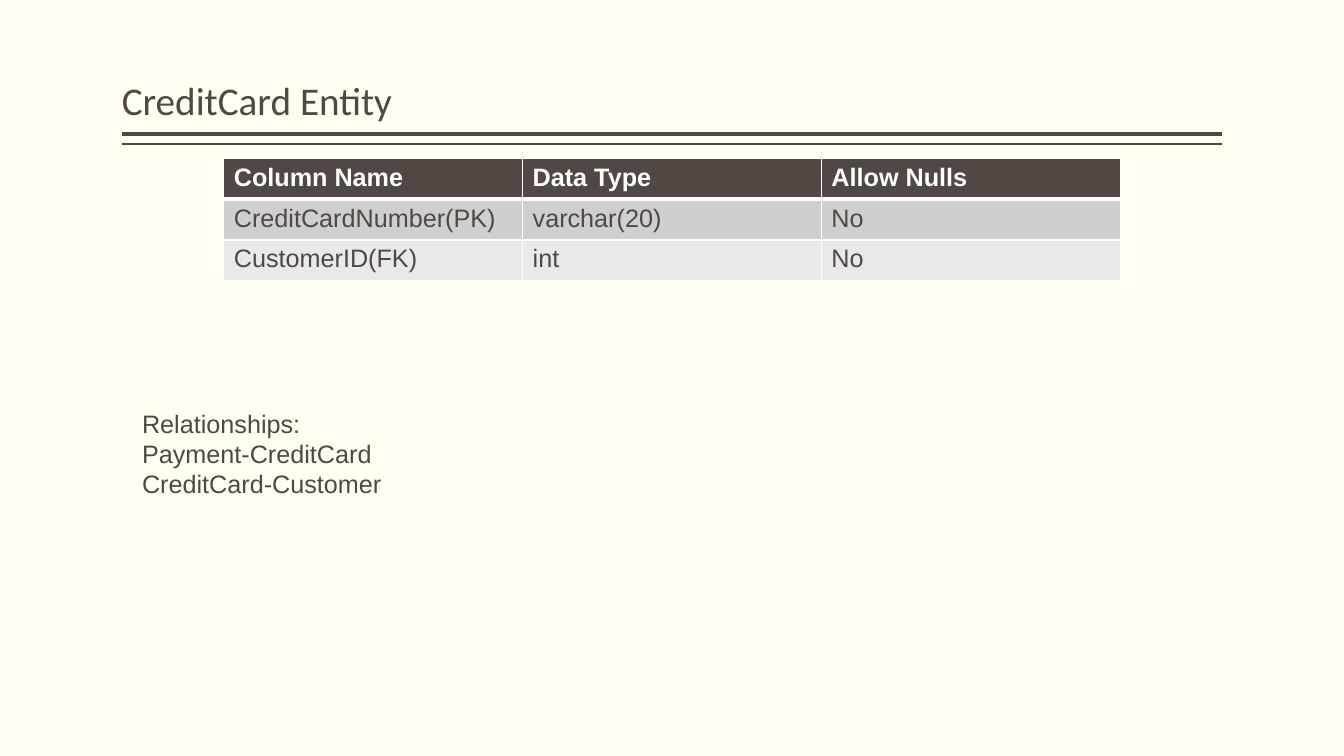
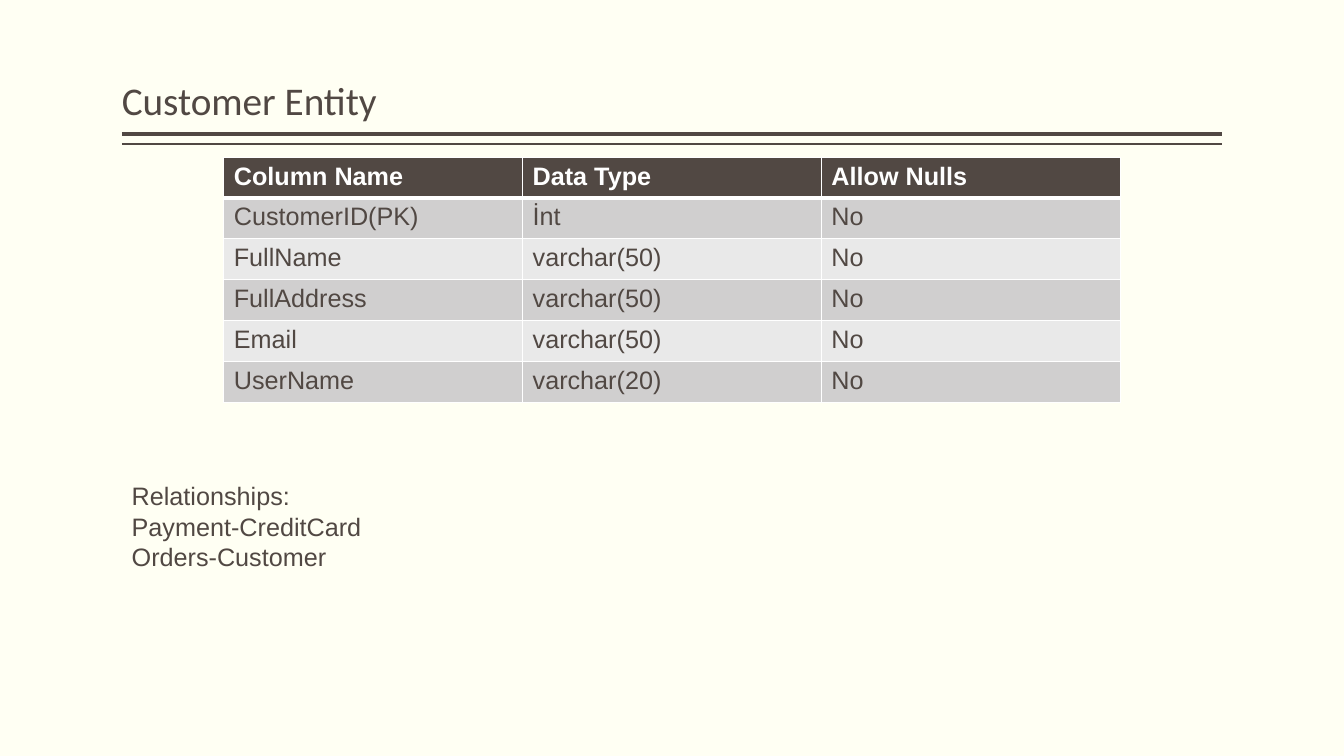
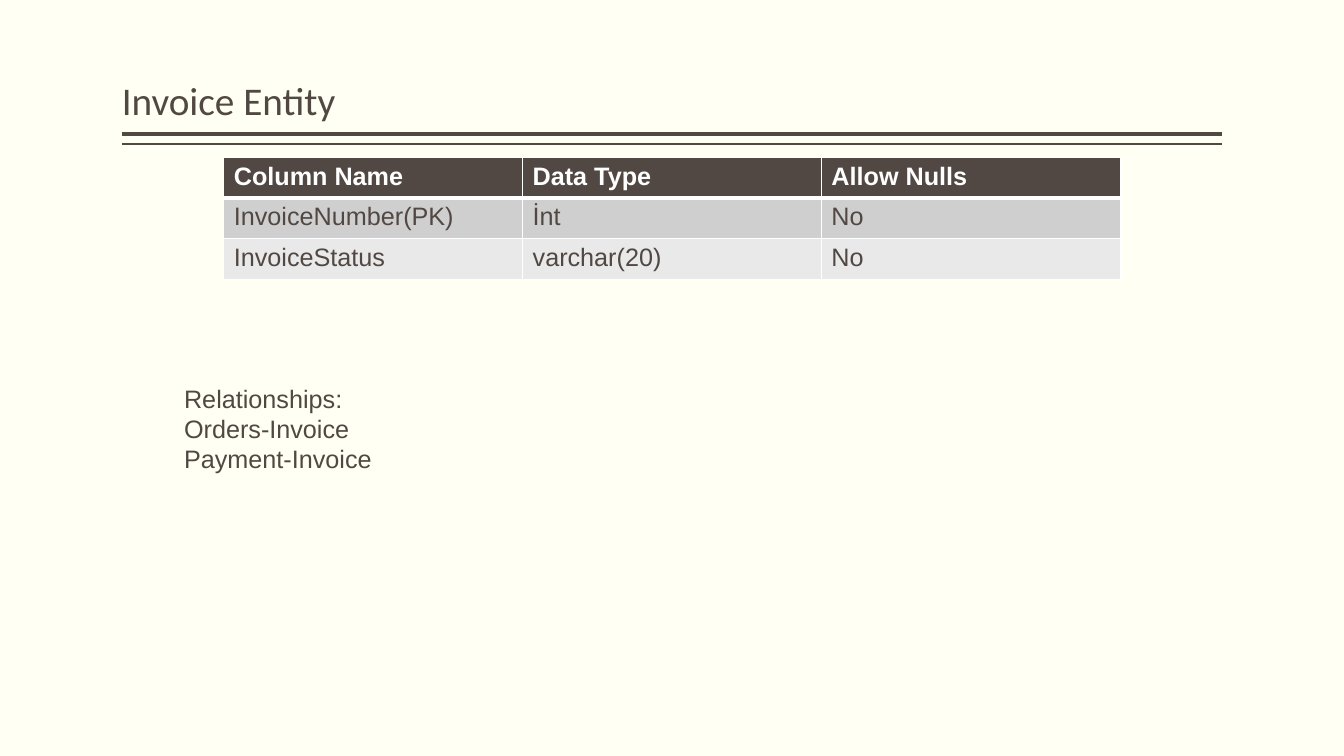
from dataclasses import dataclass
from typing import Any

from lxml.etree import SubElement
from pptx import Presentation
from pptx.dml.color import RGBColor
from pptx.enum.shapes import MSO_CONNECTOR
from pptx.enum.text import MSO_ANCHOR, MSO_AUTO_SIZE
from pptx.oxml import parse_xml
from pptx.oxml.ns import nsdecls, qn
from pptx.slide import Slide
from pptx.table import _Cell
from pptx.util import Cm, Length, Pt

COLORS = {
    "background": "FFFFF3",
    "ink": "514843",
    "white": "FFFFFF",
    "odd_row": "D0CFCF",
    "even_row": "E9E9E9",
}
MARGIN_LEFT, CONTENT_WIDTH = Cm(3.07), Cm(27.73)
TITLE_TOP, TITLE_HEIGHT = Cm(0.2), Cm(3.05)
TITLE_RULES = ((Cm(3.38), Pt(3)), (Cm(3.63), Pt(1)))
TABLE_LEFT, COLUMN_WIDTH, ROW_HEIGHT = Cm(5.64), Cm(7.53), Cm(1.03)
NOTE_WIDTH, NOTE_HEIGHT = Cm(25.78), Cm(2.57)
HEADER = ("Column Name", "Data Type", "Allow Nulls")

TITLE_FONT = {"name": "Calibri", "size": Pt(28)}
BODY_FONT = {"name": "Arial", "size": Pt(18), "bold": False}
HEADER_FONT = {**BODY_FONT, "bold": True}
TITLE_FRAME = {
    "word_wrap": True,
    "vertical_anchor": MSO_ANCHOR.BOTTOM,
    "margin_left": 0,
    "margin_right": 0,
}
NOTE_FRAME = {"word_wrap": True, "auto_size": MSO_AUTO_SIZE.SHAPE_TO_FIT_TEXT}


@dataclass(frozen=True)
class Entity:
    title: str
    columns: tuple[tuple[str, str, str], ...]
    relationships: tuple[str, ...]
    table_top: Length
    note_left: Length
    note_top: Length


ENTITIES = (
    Entity(
        "CreditCard Entity",
        (("CreditCardNumber(PK)", "varchar(20)", "No"), ("CustomerID(FK)", "int", "No")),
        ("Payment-CreditCard", "CreditCard-Customer"),
        Cm(3.99), Cm(3.33), Cm(10.16),
    ),
    Entity(
        "Customer Entity",
        (
            ("CustomerID(PK)", "İnt", "No"),
            ("FullName", "varchar(50)", "No"),
            ("FullAddress", "varchar(50)", "No"),
            ("Email", "varchar(50)", "No"),
            ("UserName", "varchar(20)", "No"),
        ),
        ("Payment-CreditCard", "Orders-Customer"),
        Cm(3.96), MARGIN_LEFT, Cm(11.99),
    ),
    Entity(
        "Invoice Entity",
        (("InvoiceNumber(PK)", "İnt", "No"), ("InvoiceStatus", "varchar(20)", "No")),
        ("Orders-Invoice", "Payment-Invoice"),
        Cm(3.96), Cm(4.39), Cm(9.53),
    ),
)


def color(name: str) -> RGBColor:
    return RGBColor.from_string(COLORS[name])


def apply_format(target: Any, values: dict[str, Any]) -> None:
    for attribute, value in values.items():
        setattr(target, attribute, value)


def write_lines(frame: Any, lines: tuple[str, ...], font: dict[str, Any], color_name: str) -> None:
    for index, line in enumerate(lines):
        para = frame.paragraphs[0] if index == 0 else frame.add_paragraph()
        span = para.add_run()
        span.text = line
        apply_format(span.font, font)
        span.font.color.rgb = color(color_name)


def add_title(page: Slide, title: str) -> None:
    """Draw the two rules and the title that stands on them."""
    for top, width in TITLE_RULES:
        rule = page.shapes.add_connector(
            MSO_CONNECTOR.STRAIGHT, MARGIN_LEFT, top, MARGIN_LEFT + CONTENT_WIDTH, top
        )
        rule.line.width = width
        rule.line.color.rgb = color("ink")
        SubElement(rule.element.spPr, qn("a:effectLst"))
    box = page.shapes.add_textbox(MARGIN_LEFT, TITLE_TOP, CONTENT_WIDTH, TITLE_HEIGHT)
    apply_format(box.text_frame, TITLE_FRAME)
    write_lines(box.text_frame, (title,), TITLE_FONT, "ink")
    box.text_frame.paragraphs[0].line_spacing = 0.9


def set_borders(cell: _Cell, top: Length, bottom: Length) -> None:
    widths = {"lnL": Pt(1), "lnR": Pt(1), "lnT": top, "lnB": bottom}
    properties = cell._tc.get_or_add_tcPr()
    for position, (tag, width) in enumerate(widths.items()):
        border = parse_xml(
            f'<a:{tag} {nsdecls("a")} w="{width}"><a:solidFill>'
            f'<a:srgbClr val="{COLORS["white"]}"/></a:solidFill></a:{tag}>'
        )
        properties.insert(position, border)


def add_column_table(page: Slide, entity: Entity) -> None:
    rows = (HEADER, *entity.columns)
    table = page.shapes.add_table(
        len(rows), len(HEADER), TABLE_LEFT, entity.table_top,
        COLUMN_WIDTH * len(HEADER), ROW_HEIGHT * len(rows),
    ).table
    for row_index, row in enumerate(rows):
        if row_index == 0:
            fill, font, font_color = "ink", HEADER_FONT, "white"
        else:
            fill = "odd_row" if row_index % 2 else "even_row"
            font, font_color = BODY_FONT, "ink"
        top = Pt(3) if row_index == 1 else Pt(1)
        bottom = Pt(3) if row_index == 0 else Pt(1)
        for column_index, text in enumerate(row):
            cell = table.cell(row_index, column_index)
            cell.fill.solid()
            cell.fill.fore_color.rgb = color(fill)
            set_borders(cell, top, bottom)
            write_lines(cell.text_frame, (text,), font, font_color)


def add_relationships(page: Slide, entity: Entity) -> None:
    box = page.shapes.add_textbox(entity.note_left, entity.note_top, NOTE_WIDTH, NOTE_HEIGHT)
    apply_format(box.text_frame, NOTE_FRAME)
    write_lines(box.text_frame, ("Relationships:", *entity.relationships), BODY_FONT, "ink")


def main() -> None:
    deck = Presentation()
    deck.slide_width, deck.slide_height = Cm(33.87), Cm(19.05)
    background = deck.slide_master.background.fill
    background.solid()
    background.fore_color.rgb = color("background")
    blank_layout = deck.slide_layouts[6]
    for entity in ENTITIES:
        page = deck.slides.add_slide(blank_layout)
        add_title(page, entity.title)
        add_column_table(page, entity)
        add_relationships(page, entity)
    deck.save("out.pptx")


if __name__ == "__main__":
    main()
